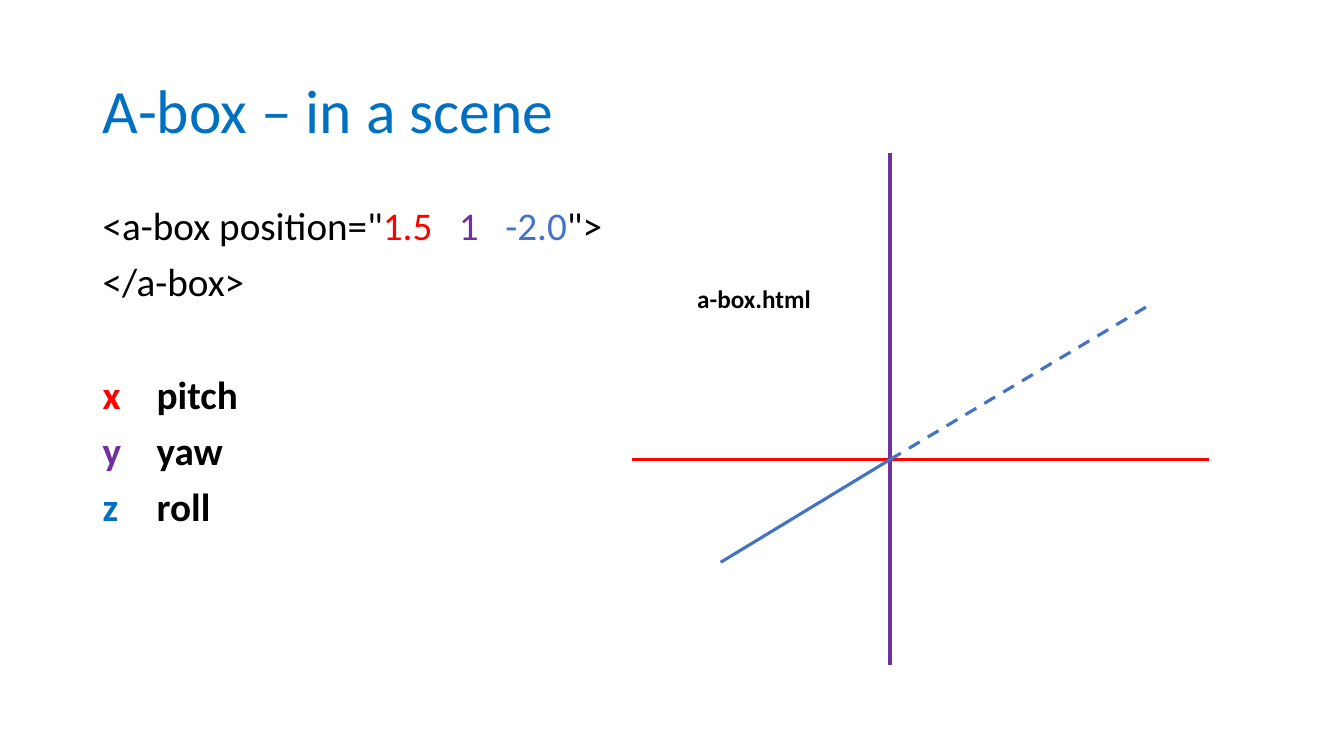
from lxml import etree
from pptx import Presentation
from pptx.dml.color import RGBColor
from pptx.enum.dml import MSO_LINE
from pptx.enum.shapes import MSO_CONNECTOR
from pptx.enum.text import MSO_ANCHOR, MSO_AUTO_SIZE, PP_ALIGN
from pptx.oxml.ns import qn
from pptx.util import Cm, Pt

STRAIGHT = MSO_CONNECTOR.STRAIGHT
DASH = MSO_LINE.DASH
MIDDLE = MSO_ANCHOR.MIDDLE
NO_FIT = MSO_AUTO_SIZE.NONE
LEFT = PP_ALIGN.LEFT

BLACK = RGBColor(0x00, 0x00, 0x00)
RED = RGBColor(0xFF, 0x00, 0x00)
PURPLE = RGBColor(0x70, 0x30, 0xA0)
BLUE = RGBColor(0x44, 0x72, 0xC4)
TITLE_BLUE = RGBColor(0x00, 0x70, 0xC0)

FONT = "Calibri"
TITLE_ONLY = 5
MARGIN = 2.34
CONTENT_WIDTH = 29.21
ORIGIN = (22.43, 11.58)

CODE_LINES = [
    [('<a-box position="', BLACK), ("1.5   ", RED), ("1   ", PURPLE),
     ("-2.0", BLUE), ('">', BLACK)],
    [("</a-box>", BLACK)],
]
ROTATIONS = [("x", RED, "pitch"), ("y", PURPLE, "yaw"), ("z", TITLE_BLUE, "roll")]
AXES = [
    ((15.93, ORIGIN[1]), (30.48, ORIGIN[1]), RED, None),
    ((ORIGIN[0], 16.76), (ORIGIN[0], 3.86), PURPLE, None),
    ((18.16, 14.17), ORIGIN, BLUE, None),
    (ORIGIN, (28.91, 7.72), BLUE, DASH),
]


def format_run(run, size, color, bold=False):
    run.font.name = FONT
    run.font.size = Pt(size)
    run.font.bold = bold
    run.font.color.rgb = color


def set_title(slide, text):
    title = slide.shapes.title
    title.left, title.top = Cm(MARGIN), Cm(1.02)
    title.width, title.height = Cm(CONTENT_WIDTH), Cm(3.68)
    text_frame = title.text_frame
    text_frame.text = text
    text_frame.auto_size = NO_FIT
    text_frame.vertical_anchor = MIDDLE
    paragraph = text_frame.paragraphs[0]
    paragraph.alignment = LEFT
    paragraph.line_spacing = 0.9
    format_run(paragraph.runs[0], 44, TITLE_BLUE)


def add_text_box(slide, left, top, width, height, wrap=True):
    text_box = slide.shapes.add_textbox(Cm(left), Cm(top), Cm(width), Cm(height))
    text_box.text_frame.word_wrap = wrap
    return text_box.text_frame


def fill_paragraph(paragraph, parts, space_before, bold=False):
    paragraph.line_spacing = 0.9
    paragraph.space_before = Pt(space_before)
    for text, color in parts:
        run = paragraph.add_run()
        run.text = text
        format_run(run, 28, color, bold)


def add_tab_stop(paragraph, position):
    properties = paragraph._p.get_or_add_pPr()
    tab_list = etree.SubElement(properties, qn("a:tabLst"))
    etree.SubElement(tab_list, qn("a:tab"), pos=str(Cm(position)), algn="l")


def add_body(slide):
    text_frame = add_text_box(slide, MARGIN, 5.08, CONTENT_WIDTH, 12.09)
    for index, parts in enumerate(CODE_LINES):
        paragraph = text_frame.add_paragraph() if index else text_frame.paragraphs[0]
        fill_paragraph(paragraph, parts, 10 if index else 0)
    for index, (axis, color, rotation) in enumerate(ROTATIONS):
        paragraph = text_frame.add_paragraph()
        parts = [(axis, color), ("\t" + rotation, BLACK)]
        fill_paragraph(paragraph, parts, 10 if index else 50, bold=True)
        add_tab_stop(paragraph, 1.36)


def add_axis(slide, start, end, color, dash):
    points = [Cm(value) for value in start + end]
    axis = slide.shapes.add_connector(STRAIGHT, *points)
    axis.line.color.rgb = color
    axis.line.width = Pt(2.25)
    if dash:
        axis.line.dash_style = dash
    etree.SubElement(axis._element.spPr, qn("a:effectLst"))


def add_file_label(slide, text):
    text_frame = add_text_box(slide, 17.32, 7.01, 3.4, 1.02, wrap=False)
    text_frame.text = text
    format_run(text_frame.paragraphs[0].runs[0], 18, BLACK, bold=True)


def main():
    presentation = Presentation()
    presentation.slide_width = Cm(33.87)
    presentation.slide_height = Cm(19.05)
    slide = presentation.slides.add_slide(presentation.slide_layouts[TITLE_ONLY])
    set_title(slide, "A-box – in a scene")
    add_body(slide)
    for start, end, color, dash in AXES:
        add_axis(slide, start, end, color, dash)
    add_file_label(slide, "a-box.html")
    presentation.save("out.pptx")


if __name__ == "__main__":
    main()
